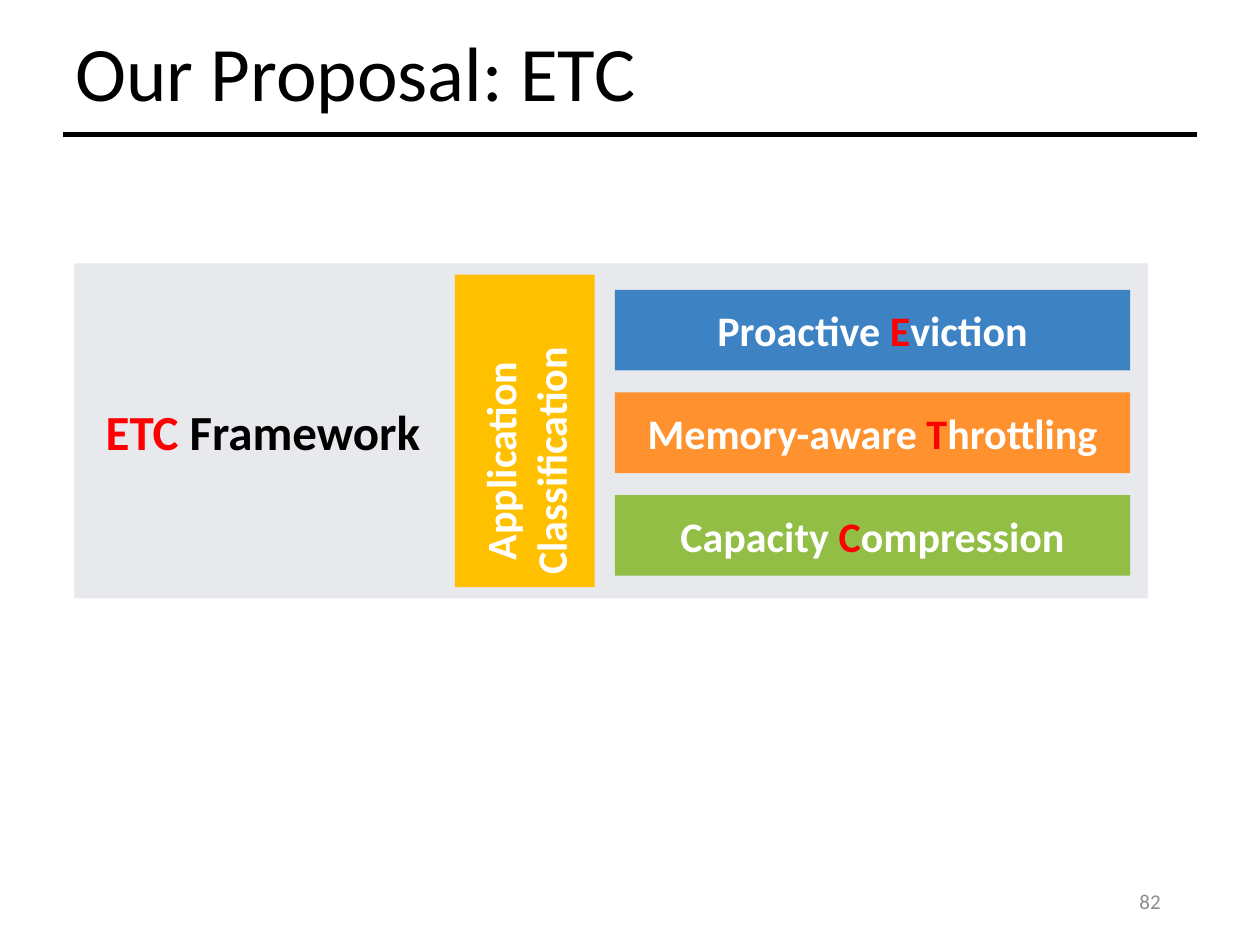
from dataclasses import dataclass

import pptx
import pptx.dml.color
import pptx.enum.shapes
import pptx.enum.text
import pptx.util
from lxml import etree

ALIGN = pptx.enum.text.PP_ALIGN
COLS, ROWS = 100, 75


@dataclass(frozen=True)
class Theme:
    font: str = "Calibri"
    black: str = "000000"
    white: str = "FFFFFF"
    red: str = "FF0000"
    gray: str = "8C8C8C"
    panel: str = "E7E9ED"
    blue: str = "3D83C4"
    orange: str = "FF922F"
    green: str = "92BE46"
    gold: str = "FFC000"
    title: int = 44
    head: int = 28
    label: int = 24
    note: int = 12
    rule: int = 3


@dataclass(frozen=True)
class Area:
    col: float
    row: float
    wide: float
    high: float


@dataclass(frozen=True)
class Run:
    text: str
    color: str


@dataclass(frozen=True)
class Part:
    fill: str
    lead: str
    key: str
    rest: str


T = Theme()
deck = pptx.Presentation()
deck.slide_width = pptx.util.Inches(10)
deck.slide_height = pptx.util.Inches(7.5)
slide = deck.slides.add_slide(deck.slide_layouts[6])


def across(cols: float) -> int:
    return round(deck.slide_width * cols / COLS)


def down(rows: float) -> int:
    return round(deck.slide_height * rows / ROWS)


def place(area: Area) -> tuple:
    return across(area.col), down(area.row), across(area.wide), down(area.high)


def color(code: str) -> pptx.dml.color.RGBColor:
    return pptx.dml.color.RGBColor.from_string(code)


def write(shape, runs: list[Run], size: int, align=ALIGN.LEFT, bold: bool = False):
    frame = shape.text_frame
    frame.word_wrap = True
    frame.vertical_anchor = pptx.enum.text.MSO_ANCHOR.MIDDLE
    para = frame.paragraphs[0]
    para.alignment = align
    for item in runs:
        run = para.add_run()
        run.text = item.text
        run.font.name = T.font
        run.font.size = pptx.util.Pt(size)
        run.font.bold = bold
        run.font.color.rgb = color(item.color)
    return para


def box(area: Area, fill: str):
    shape = slide.shapes.add_shape(
        pptx.enum.shapes.MSO_SHAPE.RECTANGLE, *place(area))
    shape.shadow.inherit = False
    shape.fill.solid()
    shape.fill.fore_color.rgb = color(fill)
    shape.line.fill.background()
    return shape


def label(area: Area, text: str, size: int, tint: str, align=ALIGN.LEFT):
    shape = slide.shapes.add_textbox(*place(area))
    return write(shape, [Run(text, tint)], size, align)


def rule(left: float, right: float, row: float) -> None:
    line = slide.shapes.add_connector(
        pptx.enum.shapes.MSO_CONNECTOR.STRAIGHT,
        across(left), down(row), across(right), down(row))
    line.line.color.rgb = color(T.black)
    line.line.width = pptx.util.Pt(T.rule)
    props = line._element.spPr
    etree.SubElement(props, pptx.oxml.ns.qn("a:effectLst"))


def main() -> None:
    panel = box(Area(5.9, 20.9, 85.2, 26.6), T.panel)
    para = write(panel, [Run("ETC ", T.red), Run("Framework", T.black)],
                 T.head, bold=True)
    para._p.get_or_add_pPr().set("indent", str(across(1.5)))

    parts = [
        Part(T.blue, "Proactive ", "E", "viction"),
        Part(T.orange, "Memory-aware ", "T", "hrottling"),
        Part(T.green, "Capacity ", "C", "ompression"),
    ]
    for i, part in enumerate(parts):
        bar = box(Area(48.8, 23 + 8.15 * i, 40.9, 6.4), part.fill)
        runs = [Run(part.lead, T.white), Run(part.key, T.red),
                Run(part.rest, T.white)]
        write(bar, runs, T.label, ALIGN.CENTER, True)

    label(Area(70.6, 69.5, 22.5, 4), "82", T.note, T.gray, ALIGN.RIGHT)

    side = box(Area(36.1, 21.8, 11.1, 24.8), T.gold)
    side.rotation = 180
    write(side, [Run("Application Classification", T.white)],
          T.label, ALIGN.CENTER, True)
    side.text_frame._txBody.bodyPr.set("vert", "eaVert")

    title = label(Area(5, 1.4, 90, 9.3), "Our Proposal: ETC", T.title, T.black)
    title.line_spacing = 0.9
    rule(5, 95, 10.7)
    deck.save("out.pptx")


if __name__ == "__main__":
    main()
